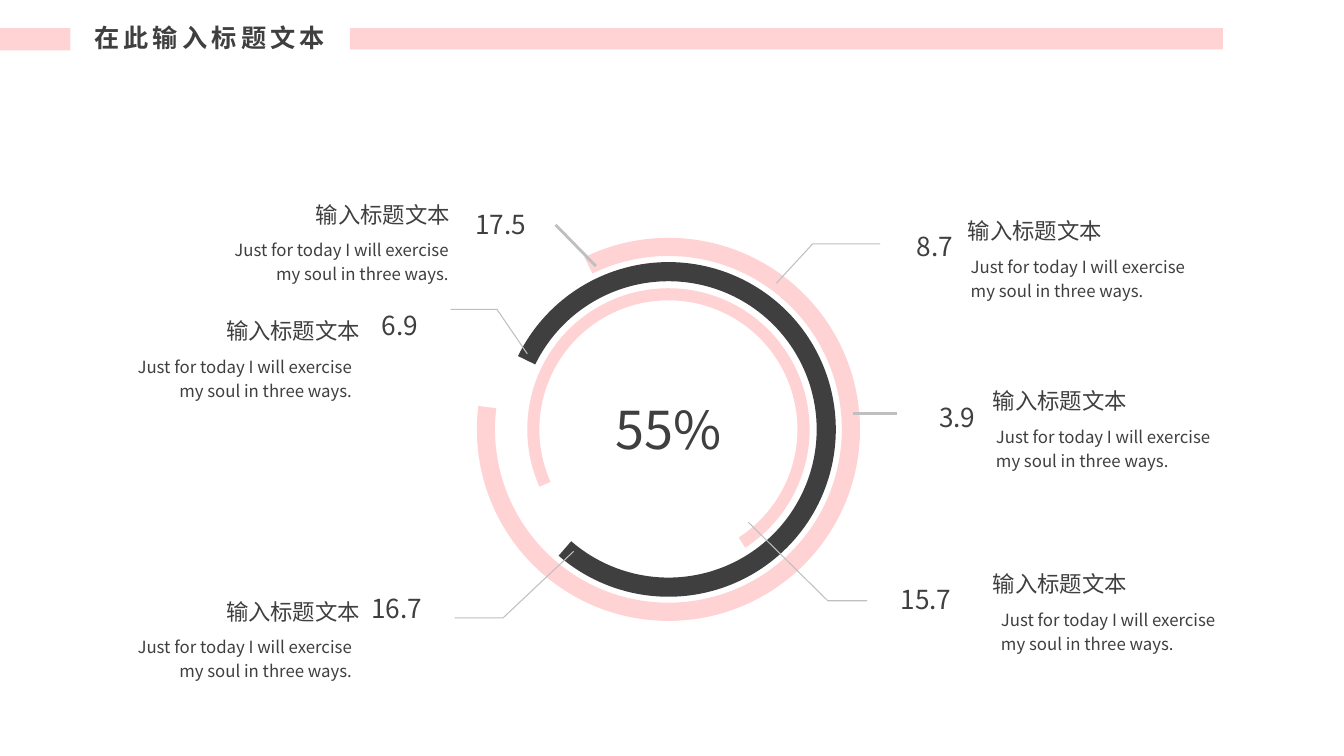
from lxml import etree
from pptx import Presentation
from pptx.dml.color import RGBColor
from pptx.enum.shapes import MSO_CONNECTOR, MSO_SHAPE
from pptx.enum.text import MSO_ANCHOR, MSO_AUTO_SIZE, PP_ALIGN
from pptx.oxml.ns import qn
from pptx.util import Pt

LEFT, CENTER, RIGHT = PP_ALIGN.LEFT, PP_ALIGN.CENTER, PP_ALIGN.RIGHT
TOP, MIDDLE = MSO_ANCHOR.TOP, MSO_ANCHOR.MIDDLE
GROW, FIXED = MSO_AUTO_SIZE.SHAPE_TO_FIT_TEXT, MSO_AUTO_SIZE.NONE
STRAIGHT = MSO_CONNECTOR.STRAIGHT
RECTANGLE, BLOCK_ARC = MSO_SHAPE.RECTANGLE, MSO_SHAPE.BLOCK_ARC

PX = 9144
ADJUSTMENT_PER_DEGREE = 0.6
FONT = "Noto Sans CJK SC"
COLORS = {"pink": "FFD2D3", "dark": "3F3F3F", "leader": "BFBFBF"}

TITLE = "在此输入标题文本"
TITLE_BOX = (46, 17, 324, 40)
BARS = [(0, 28, 70, 22), (347, 28, 866, 21)]

RING_CENTER = (663, 426)
RINGS = [
    (140, 128, 156, 57, "pink"),
    (166, 147, 206, 131, "dark"),
    (190, 172, 244, 187, "pink"),
]
LEADERS = [
    [(770, 281), (806, 242), (873, 242)],
    [(846, 410), (890, 410)],
    [(742, 518), (821, 596), (860, 596)],
    [(569, 547), (499, 613), (451, 613)],
    [(523, 351), (493, 307), (447, 307)],
    [(591, 264), (551, 223)],
]
SHARE = "55%"
SHARE_BOX = (609, 394, 108, 63)

HEADING = "输入标题文本"
BODY = "Just for today I will exercise my soul in three ways."
HEADING_SIZE = (191, 50)
VALUE_HEIGHT = 41
CALLOUTS = [
    ("17.5", (460, 202, 73), (265, 181), (203, 229, 252, 59), RIGHT),
    ("8.7", (899, 224, 57), (950, 197), (953, 246, 256, 59), LEFT),
    ("3.9", (921, 393, 57), (975, 366), (978, 414, 236, 83), LEFT),
    ("15.7", (882, 574, 73), (975, 547), (983, 596, 236, 83), LEFT),
    ("16.7", (357, 583, 73), (176, 575), (107, 623, 252, 59), RIGHT),
    ("6.9", (368, 302, 57), (176, 296), (107, 345, 252, 59), RIGHT),
]


def emu(lengths):
    return [length * PX for length in lengths]


def color(name):
    return RGBColor.from_string(COLORS[name])


def write(text, box, size, holder=None, align=CENTER, anchor=MIDDLE, wrap=False,
          fit=GROW, spacing=1.0, inset=(10, 5), bold=False, tracking=0):
    holder = holder or slide.shapes.add_textbox(0, 0, 0, 0)
    holder.left, holder.top, holder.width, holder.height = emu(box)
    frame = holder.text_frame
    frame.text = text
    frame.word_wrap = wrap
    frame.auto_size = fit
    frame.vertical_anchor = anchor
    frame.margin_left = frame.margin_right = inset[0] * PX
    frame.margin_top = frame.margin_bottom = inset[1] * PX
    paragraph = frame.paragraphs[0]
    paragraph.alignment = align
    paragraph.line_spacing = spacing
    font = paragraph.runs[0].font
    font.name = FONT
    font.size = Pt(size)
    font.bold = bold
    font.color.rgb = color("dark")
    properties = paragraph.runs[0]._r.get_or_add_rPr()
    etree.SubElement(properties, qn("a:ea")).set("typeface", FONT)
    if tracking:
        properties.set("spc", str(tracking * 100))


def add_filled(preset, box, name):
    shape = slide.shapes.add_shape(preset, *emu(box))
    shape.shadow.inherit = False
    shape.fill.solid()
    shape.fill.fore_color.rgb = color(name)
    shape.line.fill.background()
    return shape


def draw_ring(outer, inner, start, end, name):
    x, y = RING_CENTER
    diameter = 2 * outer
    ring = add_filled(BLOCK_ARC, (x - outer, y - outer, diameter, diameter), name)
    ring.adjustments[0] = start * ADJUSTMENT_PER_DEGREE
    ring.adjustments[1] = end * ADJUSTMENT_PER_DEGREE
    ring.adjustments[2] = (outer - inner) / diameter


def draw_leader(points):
    if len(points) == 2:
        leader = slide.shapes.add_connector(STRAIGHT, *emu(points[0] + points[1]))
        etree.SubElement(leader._element.spPr, qn("a:effectLst"))
    else:
        builder = slide.shapes.build_freeform(*points[0], scale=PX)
        builder.add_line_segments(points[1:], close=False)
        leader = builder.convert_to_shape()
        leader.fill.background()
        leader.shadow.inherit = False
    leader.line.color.rgb = color("leader")
    leader.line.width = 0


deck = Presentation()
deck.slide_width, deck.slide_height = emu((1333, 750))
slide = deck.slides.add_slide(deck.slide_layouts[5])

write(TITLE, TITLE_BOX, 18, holder=slide.shapes.title, wrap=True, fit=FIXED,
      bold=True, tracking=3)
for bar in BARS:
    add_filled(RECTANGLE, bar, "pink")
for ring_data in RINGS:
    draw_ring(*ring_data)
for leader_points in LEADERS:
    draw_leader(leader_points)

write(SHARE, SHARE_BOX, 37.3, inset=(0, 0))
for value, value_box, heading_at, body_box, side in CALLOUTS:
    write(HEADING, heading_at + HEADING_SIZE, 16, align=side, anchor=TOP, wrap=True,
          spacing=1.5)
    write(BODY, body_box, 12, align=side, anchor=TOP, wrap=True, spacing=1.2)
    write(value, value_box + (VALUE_HEIGHT,), 18.7)

deck.save("out.pptx")
